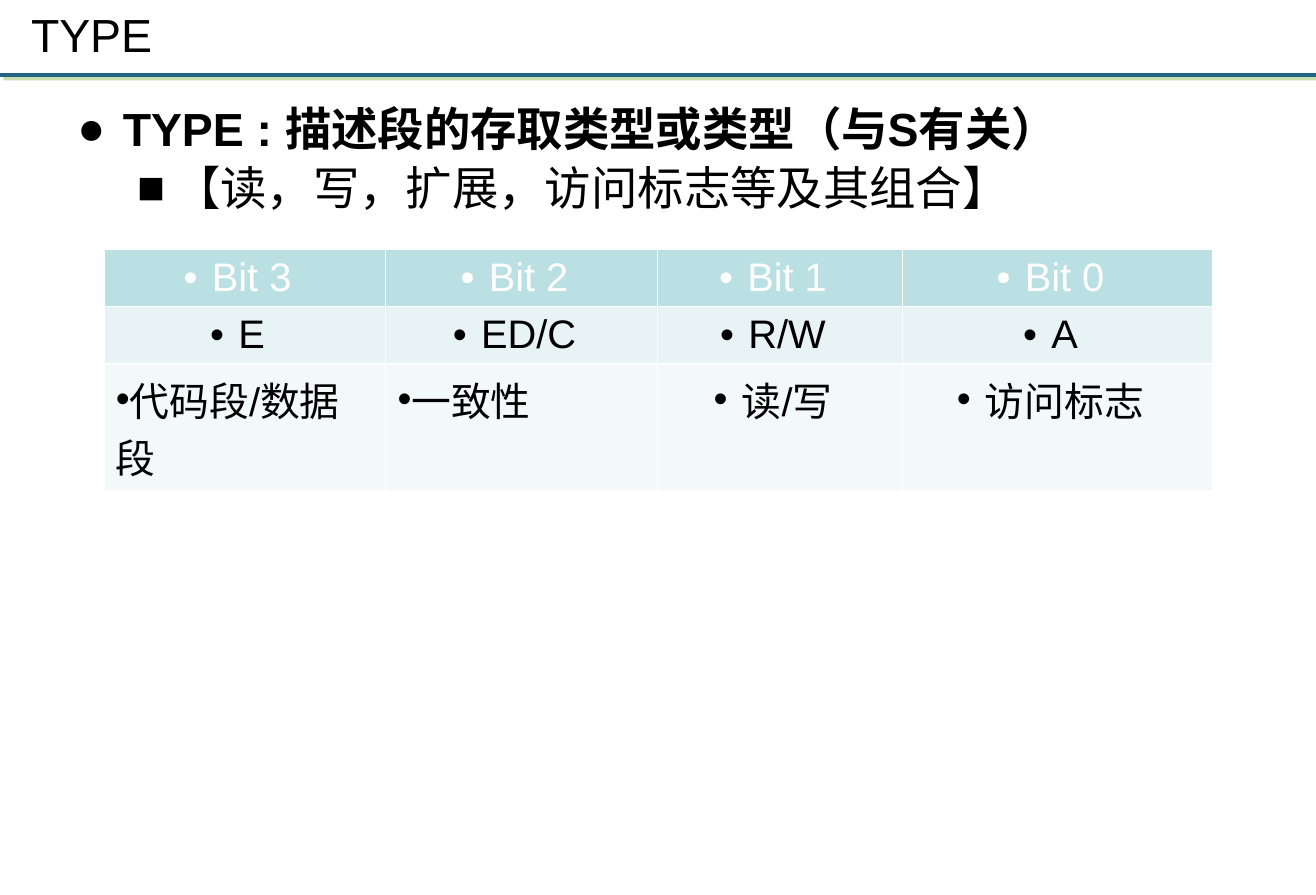
from lxml.etree import SubElement
from pptx import Presentation
from pptx.dml.color import RGBColor
from pptx.enum.shapes import MSO_CONNECTOR
from pptx.enum.text import MSO_ANCHOR, PP_ALIGN
from pptx.oxml.ns import qn
from pptx.util import Inches, Pt

SLIDE_WIDTH = 28 / 2.54
SLIDE_HEIGHT = 7.5
BLACK, WHITE = "000000", "FFFFFF"
COLUMN_WIDTHS = [2.36, 2.28, 2.05, 2.6]
ROW_HEIGHTS = [0.47, 0.47, 1.06]
ROW_FILLS = ["BBE0E3", "E7F3F4", "F3F9FA"]
TYPE_BITS = [
    ["Bit 3", "Bit 2", "Bit 1", "Bit 0"],
    ["E", "ED/C", "R/W", "A"],
    ["代码段/数据段", "一致性", "读/写", "访问标志"],
]
LEFT_ALIGNED = {"代码段/数据段", "一致性"}


def colour(value):
    """Turn a hex string into a colour."""
    return RGBColor.from_string(value)


def write(paragraph, text, size=28, hex_colour=BLACK, bold=False, align=PP_ALIGN.LEFT,
          bullet=None, margin=None, indent=0, line_spacing=None, space_before=0):
    """Fill a paragraph with one formatted run and an optional bullet."""
    run = paragraph.add_run()
    run.text = text
    run.font.name = "Arial"
    run.font.size = Pt(size)
    run.font.bold = bold
    run.font.color.rgb = colour(hex_colour)
    paragraph.alignment = align
    paragraph.line_spacing = line_spacing
    paragraph.space_before = Pt(space_before)
    if bullet:
        properties = paragraph._p.get_or_add_pPr()
        if margin is not None:
            properties.set("marL", str(Inches(margin)))
            properties.set("indent", str(Inches(indent)))
        SubElement(properties, qn("a:buFont"), typeface="Arial")
        SubElement(properties, qn("a:buChar"), char=bullet)


def add_title(slide, text):
    """Place the title above the rule."""
    title = slide.shapes.title
    title.left, title.top = Inches(0.16), Inches(0)
    title.width, title.height = Inches(5.75), Inches(0.57)
    title.text_frame.vertical_anchor = MSO_ANCHOR.MIDDLE
    write(title.text_frame.paragraphs[0], text)


def add_rule(slide, top):
    """Draw the full-width rule with its green shadow."""
    rule = slide.shapes.add_connector(
        MSO_CONNECTOR.STRAIGHT, Inches(0), Inches(top), Inches(SLIDE_WIDTH), Inches(top))
    rule.line.color.rgb = colour("236485")
    rule.line.width = Pt(2.25)
    effects = SubElement(rule._element.spPr, qn("a:effectLst"))
    shadow = SubElement(effects, qn("a:outerShdw"), blurRad="0", dist=str(Pt(2.8)),
                        dir="2700000", algn="ctr", rotWithShape="0")
    shadow_colour = SubElement(shadow, qn("a:srgbClr"), val="90C060")
    SubElement(shadow_colour, qn("a:alpha"), val="50000")


def add_description(slide):
    """Write the two bullet levels that describe the field."""
    box = slide.shapes.add_textbox(Inches(0.55), Inches(0.84), Inches(9.92), Inches(5.86))
    frame = box.text_frame
    frame.word_wrap = True
    write(frame.paragraphs[0], "TYPE : 描述段的存取类型或类型（与S有关）", bold=True,
          bullet="●", margin=0.38, indent=-0.38, line_spacing=0.9, space_before=5.6)
    detail = frame.add_paragraph()
    detail.level = 1
    write(detail, "【读，写，扩展，访问标志等及其组合】",
          bullet="■", margin=0.81, indent=-0.31, line_spacing=0.9, space_before=5.6)


def format_cell(cell, fill):
    """Give a cell white borders and a solid fill."""
    cell.margin_bottom = Inches(0.03)
    properties = cell._tc.get_or_add_tcPr()
    for side in "LRTB":
        border = SubElement(properties, qn(f"a:ln{side}"), w=str(Pt(1)))
        border_fill = SubElement(border, qn("a:solidFill"))
        SubElement(border_fill, qn("a:srgbClr"), val=WHITE)
    cell.fill.solid()
    cell.fill.fore_color.rgb = colour(fill)


def add_bit_table(slide):
    """Build the table of the four type bits."""
    table = slide.shapes.add_table(
        len(ROW_HEIGHTS), len(COLUMN_WIDTHS), Inches(0.87), Inches(2.09),
        Inches(sum(COLUMN_WIDTHS)), Inches(sum(ROW_HEIGHTS))).table
    for column, width in zip(table.columns, COLUMN_WIDTHS):
        column.width = Inches(width)
    for row_index, (row, height) in enumerate(zip(table.rows, ROW_HEIGHTS)):
        row.height = Inches(height)
        for cell, text in zip(row.cells, TYPE_BITS[row_index]):
            is_left = text in LEFT_ALIGNED
            format_cell(cell, ROW_FILLS[row_index])
            write(cell.text_frame.paragraphs[0], text, size=24, bullet="•",
                  hex_colour=WHITE if row_index == 0 else BLACK,
                  margin=0 if is_left else None,
                  align=PP_ALIGN.LEFT if is_left else PP_ALIGN.CENTER)


def main():
    """Build and save the slide."""
    presentation = Presentation()
    presentation.slide_width = Inches(SLIDE_WIDTH)
    presentation.slide_height = Inches(SLIDE_HEIGHT)
    slide = presentation.slides.add_slide(presentation.slide_layouts[5])
    add_rule(slide, 0.63)
    add_title(slide, "TYPE")
    add_description(slide)
    add_bit_table(slide)
    presentation.save("out.pptx")


if __name__ == "__main__":
    main()
